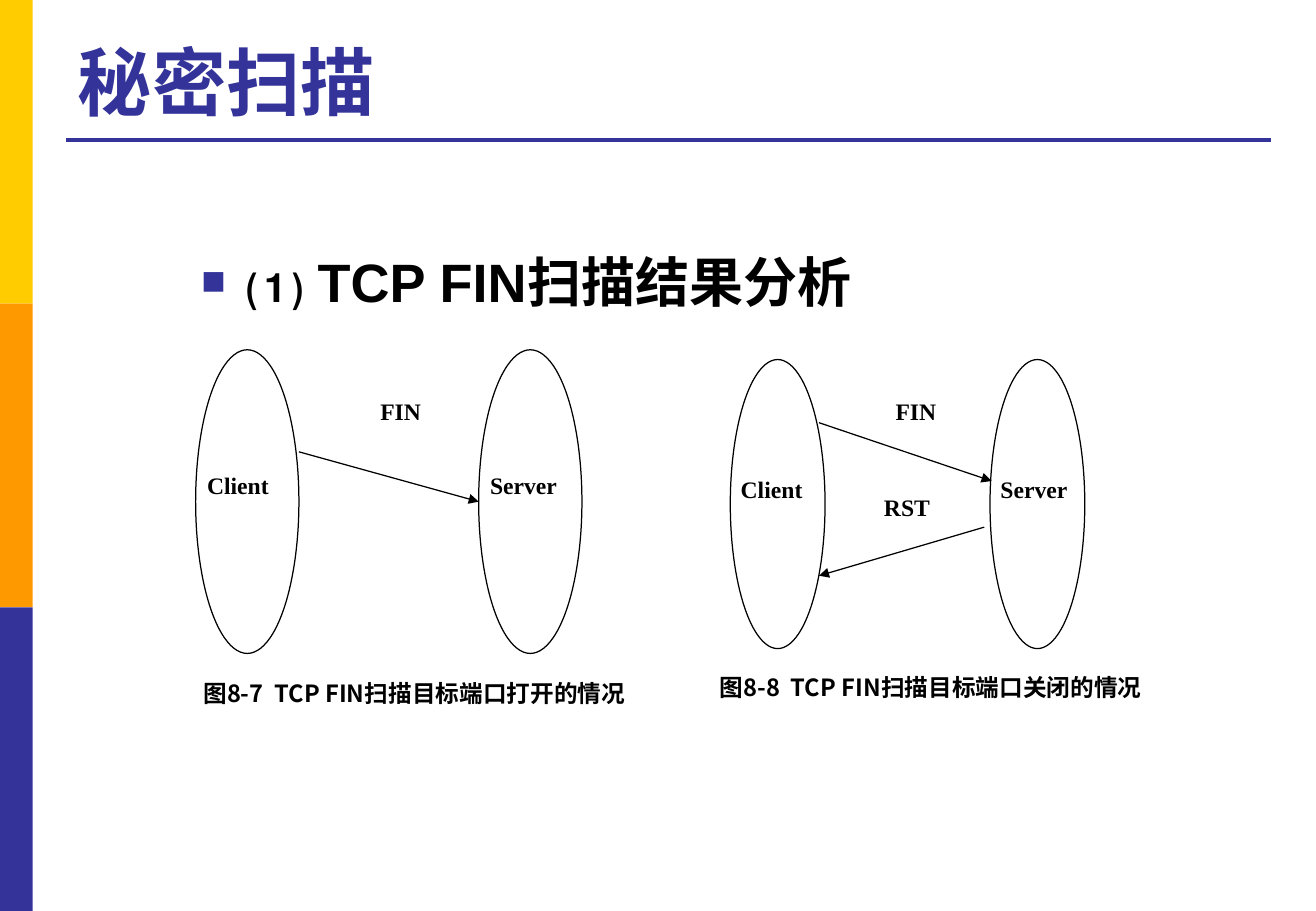
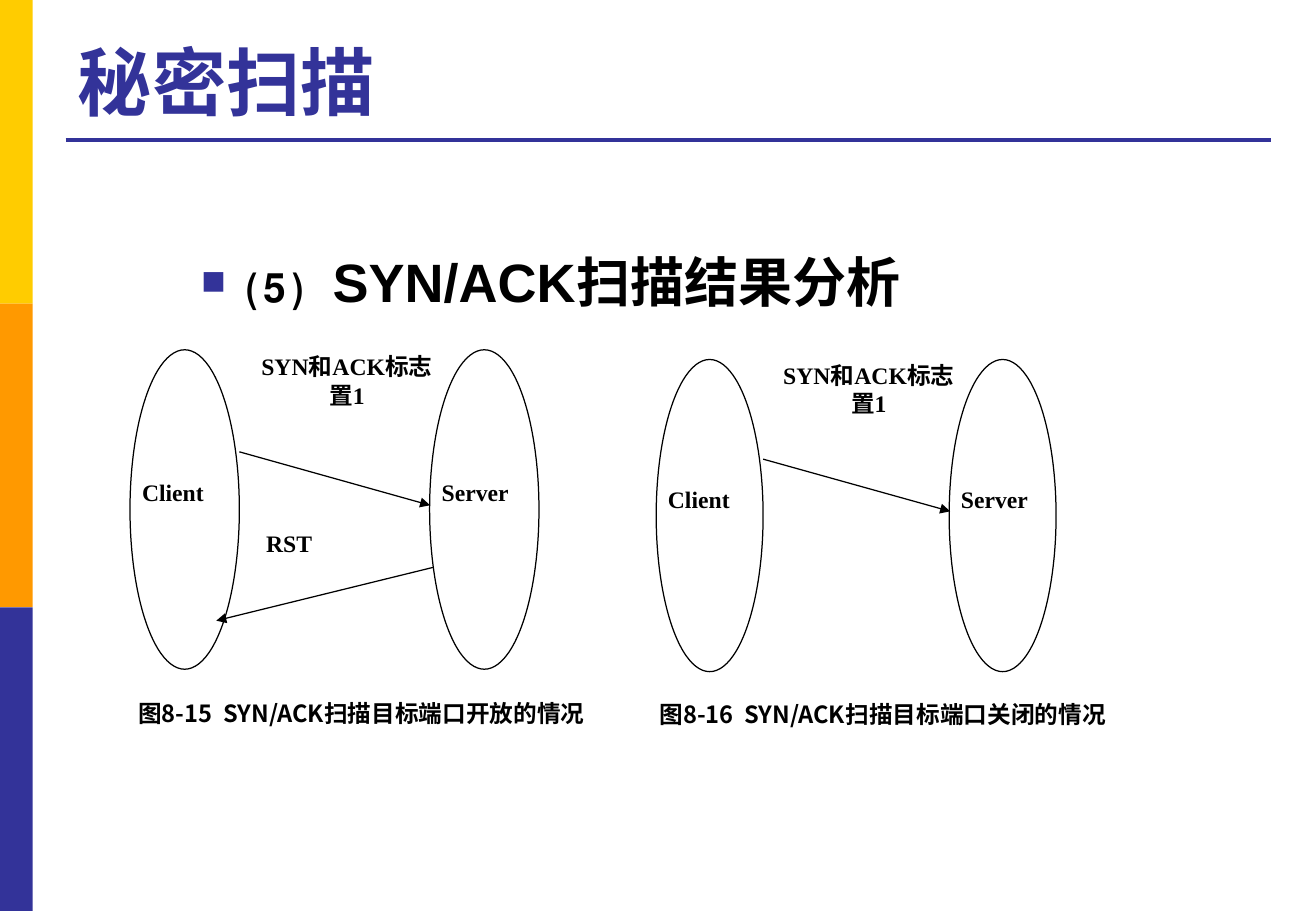
from lxml import etree
from pptx import Presentation
from pptx.dml.color import RGBColor
from pptx.enum.shapes import MSO_CONNECTOR, MSO_SHAPE
from pptx.enum.text import MSO_ANCHOR, MSO_AUTO_SIZE, PP_ALIGN
from pptx.oxml.ns import qn
from pptx.util import Inches, Pt

RECTANGLE, ELLIPSE = MSO_SHAPE.RECTANGLE, MSO_SHAPE.OVAL
STRAIGHT = MSO_CONNECTOR.STRAIGHT
LEFT, CENTER, JUSTIFY = PP_ALIGN.LEFT, PP_ALIGN.CENTER, PP_ALIGN.JUSTIFY
TOP, BOTTOM = MSO_ANCHOR.TOP, MSO_ANCHOR.BOTTOM
NO_AUTOFIT = MSO_AUTO_SIZE.NONE

YELLOW, ORANGE, INDIGO = "FFCC00", "FF9900", "333399"
BLACK, WHITE = "000000", "FFFFFF"
HEADING_FONT, LABEL_FONT, CAPTION_FONT = "Arial", "Times New Roman", "Noto Sans CJK SC"
SLIDE_WIDTH, SLIDE_HEIGHT = 10.83, 7.5
TITLE = "秘密扫描"

SLIDES = [
    {
        "heading": "⑴ TCP FIN扫描结果分析",
        "exchanges": [
            {
                "client": (1.61, 2.88, 0.85, 2.5),
                "messages": [("FIN", (3.13, 3.27, 0.56, 0.42), JUSTIFY)],
                "arrows": [(2.46, 3.72, 3.94, 4.13)],
                "caption": ("图8-7  TCP FIN扫描目标端口打开的情况", (1.4, 5.59, 4.02, 0.52)),
            },
            {
                "client": (6.01, 2.96, 0.78, 2.38),
                "messages": [
                    ("RST", (6.98, 4.06, 0.97, 0.4), CENTER),
                    ("FIN", (7.37, 3.27, 0.52, 0.4), JUSTIFY),
                ],
                "arrows": [(6.74, 3.48, 8.16, 3.96), (8.1, 4.34, 6.74, 4.74)],
                "caption": ("图8-8  TCP FIN扫描目标端口关闭的情况", (5.81, 5.54, 3.7, 0.5)),
            },
        ],
    },
    {
        "heading": "⑸  SYN/ACK扫描结果分析",
        "exchanges": [
            {
                "client": (1.07, 2.88, 0.9, 2.63),
                "messages": [
                    ("SYN和ACK标志置1", (2.06, 2.9, 1.59, 0.88), CENTER),
                    ("RST", (2.19, 4.35, 0.73, 0.48), JUSTIFY),
                ],
                "arrows": [(1.97, 3.72, 3.54, 4.16), (3.57, 4.67, 1.78, 5.11)],
                "caption": ("图8-15  SYN/ACK扫描目标端口开放的情况", (0.85, 5.75, 4.25, 0.44)),
            },
            {
                "client": (5.4, 2.96, 0.88, 2.57),
                "messages": [("SYN和ACK标志置1", (6.37, 2.97, 1.56, 0.86), CENTER)],
                "arrows": [(6.28, 3.78, 7.82, 4.21)],
                "caption": ("图8-16  SYN/ACK扫描目标端口关闭的情况", (5.18, 5.76, 4.17, 0.43)),
            },
        ],
    },
]


def rgb(hex_color):
    return RGBColor.from_string(hex_color)


def inches(values):
    return [Inches(value) for value in values]


class Deck:
    """Holds the presentation, its style and the slide being drawn."""

    def __init__(self):
        self.presentation = Presentation()
        self.presentation.slide_width = Inches(SLIDE_WIDTH)
        self.presentation.slide_height = Inches(SLIDE_HEIGHT)
        self.slide = None

    def new_slide(self, title):
        title_only = self.presentation.slide_layouts[5]
        self.slide = self.presentation.slides.add_slide(title_only)
        shapes = self.slide.shapes
        band_height = SLIDE_HEIGHT / 3
        for row, color in enumerate((YELLOW, ORANGE, INDIGO)):
            self.shape(shapes, RECTANGLE, (0, row * band_height, 0.27, band_height), color)
        self.line(shapes, (0.54, 1.15, 10.46, 1.15), INDIGO, 2.25)
        heading = shapes.title
        heading.left, heading.top, heading.width, heading.height = inches((0.54, 0.21, 9.91, 0.87))
        self.set_text(heading.text_frame, title, HEADING_FONT, 44, INDIGO, LEFT, BOTTOM)

    def set_text(self, frame, text, font_name, size, color=BLACK, align=LEFT, anchor=TOP):
        frame.word_wrap = True
        frame.auto_size = NO_AUTOFIT
        frame.vertical_anchor = anchor
        paragraph = frame.paragraphs[0]
        paragraph.text = text
        paragraph.alignment = align
        font = paragraph.font
        font.name, font.size, font.bold = font_name, Pt(size), True
        font.color.rgb = rgb(color)
        return paragraph

    def shape(self, shapes, kind, box, fill, outline=None):
        shape = shapes.add_shape(kind, *inches(box))
        shape.shadow.inherit = False
        shape.fill.solid()
        shape.fill.fore_color.rgb = rgb(fill)
        if outline:
            shape.line.color.rgb = rgb(outline)
            shape.line.width = Pt(0.75)
        else:
            shape.line.fill.background()
        return shape

    def line(self, shapes, ends, color, width, arrow=False):
        connector = shapes.add_connector(STRAIGHT, *inches(ends))
        connector.line.color.rgb = rgb(color)
        connector.line.width = Pt(width)
        properties = connector._element.spPr
        if arrow:
            etree.SubElement(properties.find(qn("a:ln")), qn("a:tailEnd"), type="triangle")
        etree.SubElement(properties, qn("a:effectLst"))

    def label(self, shapes, text, box, align=JUSTIFY, font_name=LABEL_FONT):
        frame = self.shape(shapes, RECTANGLE, box, WHITE).text_frame
        frame.margin_left = frame.margin_top = frame.margin_right = frame.margin_bottom = 0
        self.set_text(frame, text, font_name, 14, align=align)

    def bullet_heading(self, text):
        box = self.slide.shapes.add_textbox(*inches((1.56, 1.94, 8.5, 0.73)))
        paragraph = self.set_text(box.text_frame, text, HEADING_FONT, 32)
        paragraph.line_spacing = 1.1
        paragraph.space_before = Pt(6)
        properties = paragraph._p.get_or_add_pPr()
        properties.set("marL", str(Inches(0.38)))
        properties.set("indent", str(-Inches(0.38)))
        bullet_color = etree.Element(qn("a:buClr"))
        etree.SubElement(bullet_color, qn("a:srgbClr"), val=INDIGO)
        bullet_size = etree.Element(qn("a:buSzPct"), val="75000")
        bullet_font = etree.Element(qn("a:buFont"), typeface=HEADING_FONT)
        bullet_sign = etree.Element(qn("a:buChar"), char="■")
        font_defaults = properties.find(qn("a:defRPr"))
        for element in (bullet_color, bullet_size, bullet_font, bullet_sign):
            font_defaults.addprevious(element)

    def host(self, shapes, name, box):
        """Draw an ellipse with its name, placed in proportion to its size."""
        left, top, width, height = box
        self.shape(shapes, ELLIPSE, box, WHITE, BLACK)
        name_box = (left + 0.11 * width, top + 0.4 * height, 0.75 * width, 0.25 * height)
        self.label(shapes, name, name_box)

    def exchange(self, client, messages, arrows, caption):
        """Draw one client-server diagram as a group."""
        shapes = self.slide.shapes.add_group_shape().shapes
        for text, box, align in messages:
            self.label(shapes, text, box, align)
        left, top, width, height = client
        self.host(shapes, "Client", client)
        self.host(shapes, "Server", (left + 2.74 * width, top, width, height))
        self.label(shapes, *caption, CENTER, CAPTION_FONT)
        for ends in arrows:
            self.line(shapes, ends, BLACK, 0.75, arrow=True)


def main():
    deck = Deck()
    for content in SLIDES:
        deck.new_slide(TITLE)
        deck.bullet_heading(content["heading"])
        for exchange in content["exchanges"]:
            deck.exchange(**exchange)
    deck.presentation.save("out.pptx")


if __name__ == "__main__":
    main()
